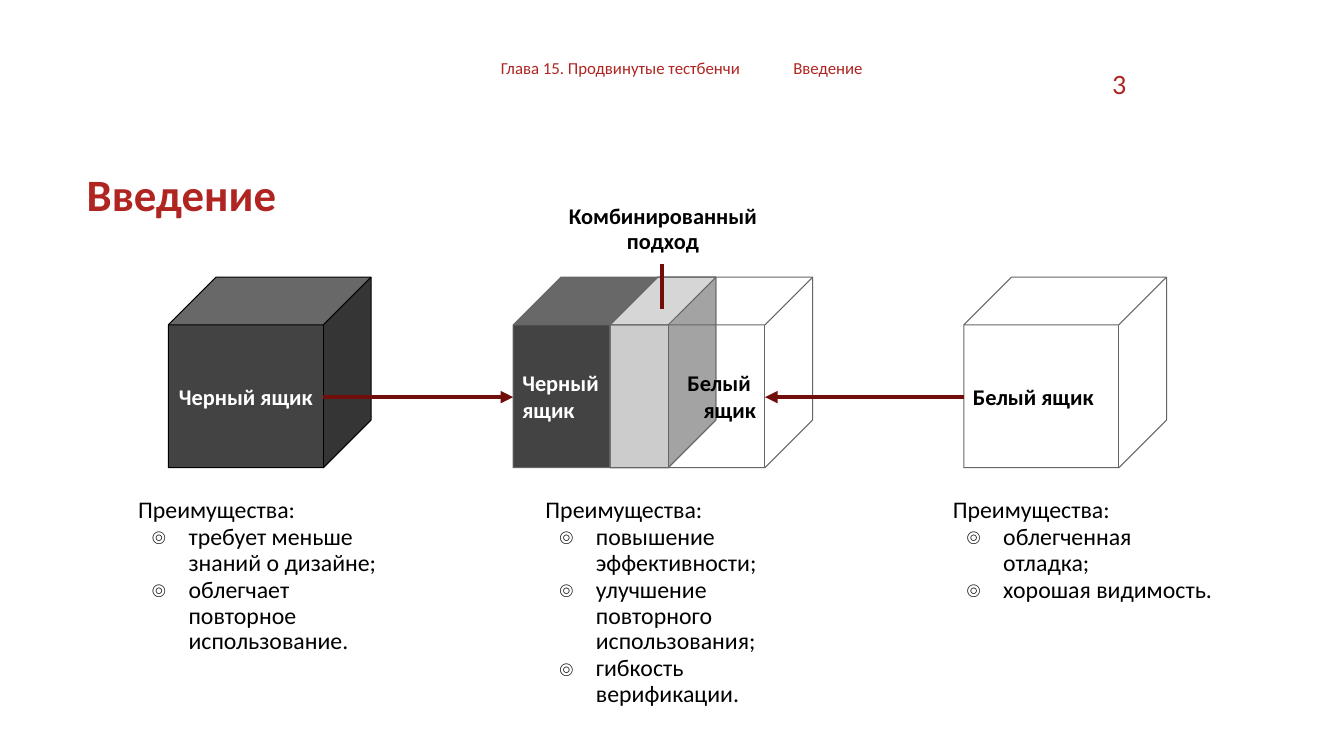
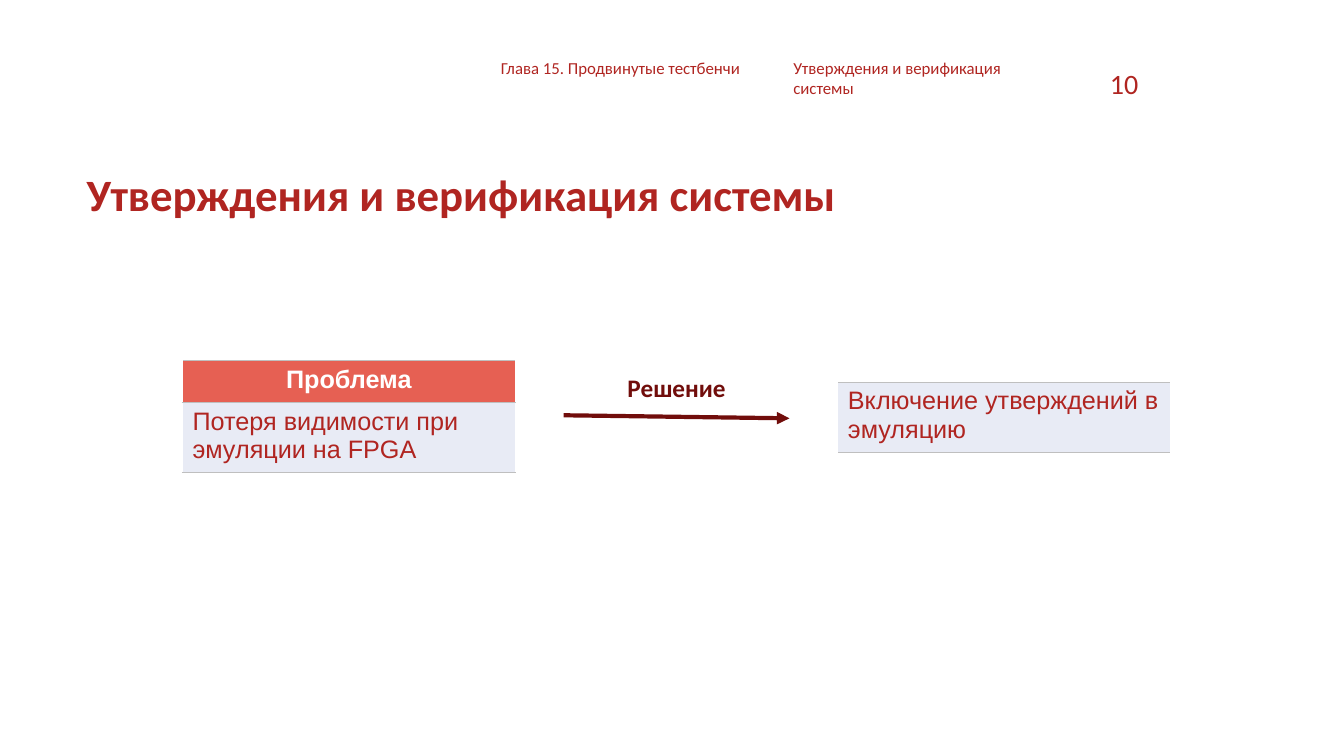
from dataclasses import dataclass

from lxml import etree
from pptx import Presentation
from pptx.dml.color import RGBColor
from pptx.enum.shapes import MSO_CONNECTOR, MSO_SHAPE
from pptx.enum.text import MSO_ANCHOR, MSO_AUTO_SIZE, PP_ALIGN
from pptx.oxml.ns import qn
from pptx.util import Inches, Pt

LEFT, CENTER, RIGHT = PP_ALIGN.LEFT, PP_ALIGN.CENTER, PP_ALIGN.RIGHT
TOP, MIDDLE = MSO_ANCHOR.TOP, MSO_ANCHOR.MIDDLE
CUBE, STRAIGHT = MSO_SHAPE.CUBE, MSO_CONNECTOR.STRAIGHT
NO_AUTOFIT = MSO_AUTO_SIZE.NONE
TITLE_ONLY_LAYOUT, FOUR_BODY_LAYOUT = 5, 4


@dataclass(frozen=True)
class Theme:
    font: str = "Calibri"
    table_font: str = "Arial"
    red: str = "B02521"
    arrow: str = "710D0B"
    black: str = "000000"
    white: str = "FFFFFF"
    dark: str = "434343"
    light: str = "CCCCCC"
    outline: str = "666666"
    header_fill: str = "E44F41"
    cell_fill: str = "E8EBF5"
    cell_border: str = "BFBFBF"
    title_size: float = 32
    number_size: float = 20
    table_size: float = 18
    body_size: float = 17
    cube_size: float = 16
    running_size: float = 12


THEME = Theme()
CHAPTER = "Глава 15. Продвинутые тестбенчи"
CUBE_TOP, CUBE_WIDTH, CUBE_HEIGHT, CUBE_DEPTH = 2.75, 2.01, 1.89, 0.25
FRONT_WIDTH = CUBE_WIDTH - CUBE_DEPTH * CUBE_HEIGHT
BLACK_LEFT, MIXED_LEFT, OVERLAP_LEFT, WHITE_LEFT = 1.67, 5.09, 6.05, 9.56
ARROW_Y = 3.94
COLUMN_LEFT, COLUMN_PITCH = 1.27, 4.04
TABLE_WIDTH = 3.3
ADVANTAGES = [
    (1.89, ["требует меньше знаний о дизайне;",
            "облегчает повторное использование."]),
    (2.31, ["повышение эффективности;",
            "улучшение повторного использования;",
            "гибкость верификации."]),
    (1.89, ["облегченная отладка;", "хорошая видимость."]),
]


def rgb(color):
    return RGBColor.from_string(color)


def write(paragraph, text, size, color, bold=False, align=LEFT, font=THEME.font):
    paragraph.alignment = align
    run = paragraph.add_run()
    run.text = text
    run.font.name = font
    run.font.size = Pt(size)
    run.font.bold = bold
    run.font.color.rgb = rgb(color)


def write_lines(frame, lines, *style, **options):
    for index, line in enumerate(lines):
        paragraph = frame.add_paragraph() if index else frame.paragraphs[0]
        write(paragraph, line, *style, **options)


def prepare_frame(frame, anchor):
    frame.word_wrap = True
    frame.auto_size = NO_AUTOFIT
    frame.vertical_anchor = anchor
    return frame


def place(shape, left, top, width, height, anchor=TOP):
    shape.left, shape.top = Inches(left), Inches(top)
    shape.width, shape.height = Inches(width), Inches(height)
    return prepare_frame(shape.text_frame, anchor)


def add_label(slide, box, text, size, color, anchor=TOP, **options):
    label = slide.shapes.add_textbox(*map(Inches, box))
    frame = prepare_frame(label.text_frame, anchor)
    write(frame.paragraphs[0], text, size, color, **options)


def set_bullet(paragraph, char=None):
    properties = paragraph._p.get_or_add_pPr()
    properties.set("marL", str(Inches(0.5) if char else 0))
    properties.set("indent", str(Inches(-0.37) if char else 0))
    if char:
        bullet_color = etree.SubElement(properties, qn("a:buClr"))
        etree.SubElement(bullet_color, qn("a:srgbClr"), val=THEME.black)
        etree.SubElement(properties, qn("a:buChar"), char=char)
    else:
        etree.SubElement(properties, qn("a:buNone"))


def fill_advantages(placeholder, left, height, advantages):
    frame = place(placeholder, left, 4.89, 2.82, height)
    write_lines(frame, ["Преимущества:", *advantages], THEME.body_size, THEME.black)
    for index, paragraph in enumerate(frame.paragraphs):
        set_bullet(paragraph, "๏" if index else None)
        paragraph.line_spacing = 0.9
        paragraph.space_before = Pt(1 if index else 0)
        paragraph.space_after = Pt(0)


def fill_caption(placeholder):
    frame = place(placeholder, 5.51, 1.99, 2.13, 0.63)
    caption = frame.paragraphs[0]
    set_bullet(caption)
    caption.line_spacing = 0.9
    caption.space_before = Pt(0)
    write(caption, "Комбинированный подход", THEME.cube_size, THEME.black,
          bold=True, align=CENTER)


def add_cube(slide, left, fill=None, outline=THEME.outline, lines=(),
             color=THEME.black, align=LEFT, width=CUBE_WIDTH, depth=CUBE_DEPTH):
    cube = slide.shapes.add_shape(CUBE, Inches(left), Inches(CUBE_TOP),
                                  Inches(width), Inches(CUBE_HEIGHT))
    cube.shadow.inherit = False
    cube.adjustments[0] = depth
    if fill:
        cube.fill.solid()
        cube.fill.fore_color.rgb = rgb(fill)
    else:
        cube.fill.background()
    cube.line.color.rgb = rgb(outline)
    cube.line.width = Pt(0.75)
    frame = prepare_frame(cube.text_frame, MIDDLE)
    frame.margin_left = frame.margin_right = Inches(0.09)
    write_lines(frame, lines, THEME.cube_size, color, bold=True, align=align)


def add_line(slide, start, end, arrow=True):
    connector = slide.shapes.add_connector(STRAIGHT, *map(Inches, start + end))
    connector.line.color.rgb = rgb(THEME.arrow)
    connector.line.width = Pt(3)
    properties = connector.element.spPr
    if arrow:
        etree.SubElement(properties.find(qn("a:ln")), qn("a:tailEnd"), type="triangle")
    etree.SubElement(properties, qn("a:effectLst"))


def set_borders(cell):
    properties = cell._tc.get_or_add_tcPr()
    borders = [("a:lnR", THEME.white), ("a:lnT", THEME.cell_border),
               ("a:lnB", THEME.cell_border)]
    for index, (tag, color) in enumerate(borders):
        border = etree.Element(qn(tag), w=str(Pt(0.75)))
        fill = etree.SubElement(border, qn("a:solidFill"))
        etree.SubElement(fill, qn("a:srgbClr"), val=color)
        properties.insert(index, border)


def style_cell(cell, text, is_header):
    cell.fill.solid()
    cell.fill.fore_color.rgb = rgb(THEME.header_fill if is_header else THEME.cell_fill)
    if is_header:
        color = cell._tc.tcPr.find(".//" + qn("a:srgbClr"))
        etree.SubElement(color, qn("a:alpha"), val="90000")
    set_borders(cell)
    write(cell.text_frame.paragraphs[0], text, THEME.table_size,
          THEME.white if is_header else THEME.red, bold=is_header,
          align=CENTER if is_header else LEFT, font=THEME.table_font)


def add_statement_table(slide, left, top, statement, header=None):
    rows = [(header, 0.41, True)] if header else []
    rows.append((statement, 0.7, False))
    height = sum(row[1] for row in rows)
    table = slide.shapes.add_table(len(rows), 1, Inches(left), Inches(top),
                                   Inches(TABLE_WIDTH), Inches(height)).table
    table.first_row = table.horz_banding = False
    for index, (text, row_height, is_header) in enumerate(rows):
        table.rows[index].height = Inches(row_height)
        style_cell(table.cell(index, 0), text, is_header)


def start_slide(deck, layout, title, title_width, number, number_width, number_align):
    slide = deck.slides.add_slide(deck.slide_layouts[layout])
    frame = place(slide.shapes.title, 0.76, 1.48, title_width, 0.95, MIDDLE)
    frame.paragraphs[0].line_spacing = 0.9
    write(frame.paragraphs[0], title, THEME.title_size, THEME.red, bold=True)
    for left, text in ((4.87, CHAPTER), (7.77, title)):
        add_label(slide, (left, 0.52, 2.63, 0.3), text, THEME.running_size, THEME.red)
    add_label(slide, (10.91, 0.63, number_width, 0.4), number, THEME.number_size,
              THEME.red, anchor=MIDDLE, align=number_align)
    return slide


def build_introduction(deck):
    slide = start_slide(deck, FOUR_BODY_LAYOUT, "Введение", 5.77, "3", 0.36, RIGHT)
    *columns, caption = list(slide.placeholders)[1:]
    for index, (column, (height, advantages)) in enumerate(zip(columns, ADVANTAGES)):
        fill_advantages(column, COLUMN_LEFT + index * COLUMN_PITCH, height, advantages)
    fill_caption(caption)

    add_cube(slide, BLACK_LEFT, THEME.dark, THEME.black, ["Черный ящик"],
             THEME.white, CENTER)
    add_cube(slide, MIXED_LEFT, THEME.dark, lines=["Черный", "ящик"], color=THEME.white)
    overlap_width = MIXED_LEFT + CUBE_WIDTH - OVERLAP_LEFT
    add_cube(slide, OVERLAP_LEFT, THEME.light, width=overlap_width,
             depth=CUBE_DEPTH * CUBE_HEIGHT / overlap_width)
    add_line(slide, (BLACK_LEFT + FRONT_WIDTH, ARROW_Y), (MIXED_LEFT, ARROW_Y))
    add_cube(slide, OVERLAP_LEFT, lines=["Белый ", "ящик"], align=RIGHT)
    add_cube(slide, WHITE_LEFT, lines=["Белый ящик"])
    add_line(slide, (WHITE_LEFT, ARROW_Y), (OVERLAP_LEFT + FRONT_WIDTH, ARROW_Y))
    add_line(slide, (6.57, 2.62), (6.57, 3.07), arrow=False)


def build_verification(deck):
    slide = start_slide(deck, TITLE_ONLY_LAYOUT, "Утверждения и верификация системы",
                        9.63, "10", 0.69, LEFT)
    add_statement_table(slide, 1.81, 3.58, "Потеря видимости при эмуляции на FPGA",
                        header="Проблема")
    add_statement_table(slide, 8.31, 3.79, "Включение утверждений в эмуляцию")
    add_line(slide, (5.59, 4.12), (7.83, 4.15))
    add_label(slide, (5.6, 3.64, 2.22, 0.4), "Решение", THEME.table_size,
              THEME.arrow, bold=True, align=CENTER)


def main():
    deck = Presentation()
    deck.slide_width, deck.slide_height = Inches(13.33), Inches(7.5)
    build_introduction(deck)
    build_verification(deck)
    deck.save("out.pptx")


if __name__ == "__main__":
    main()
